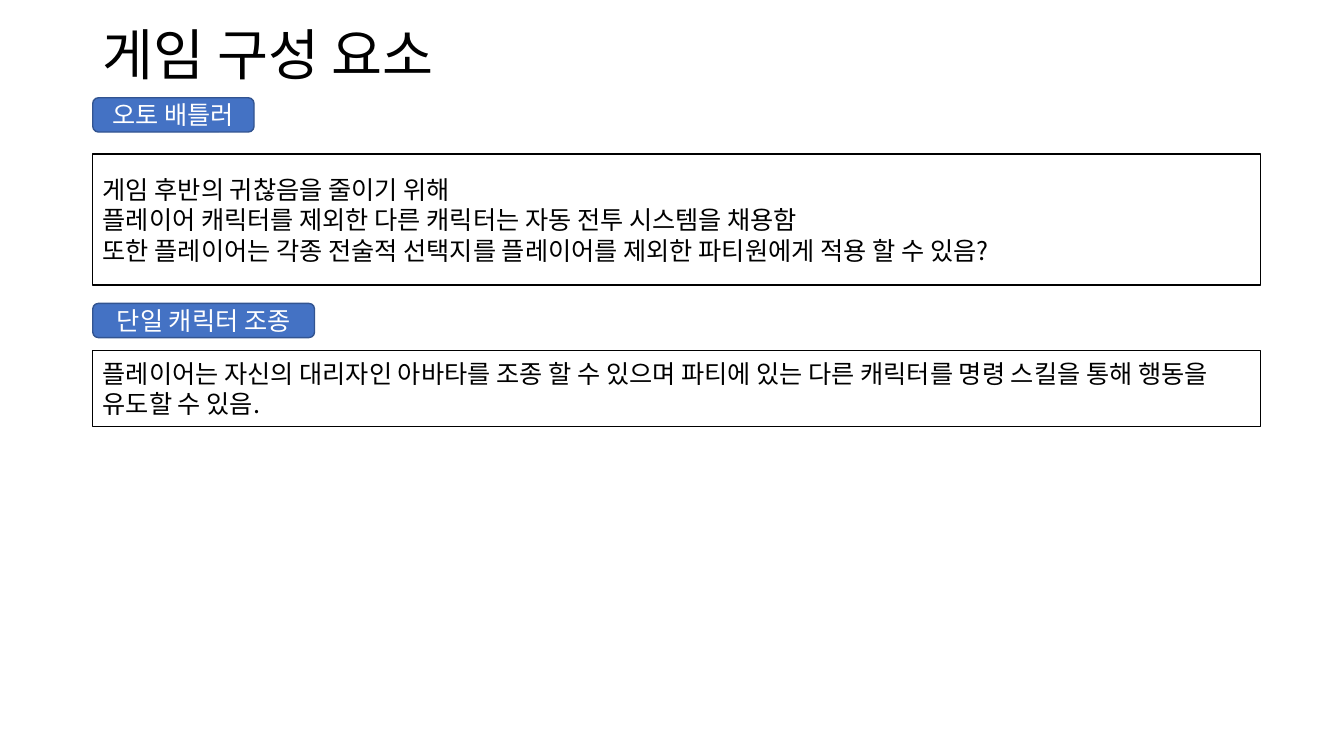
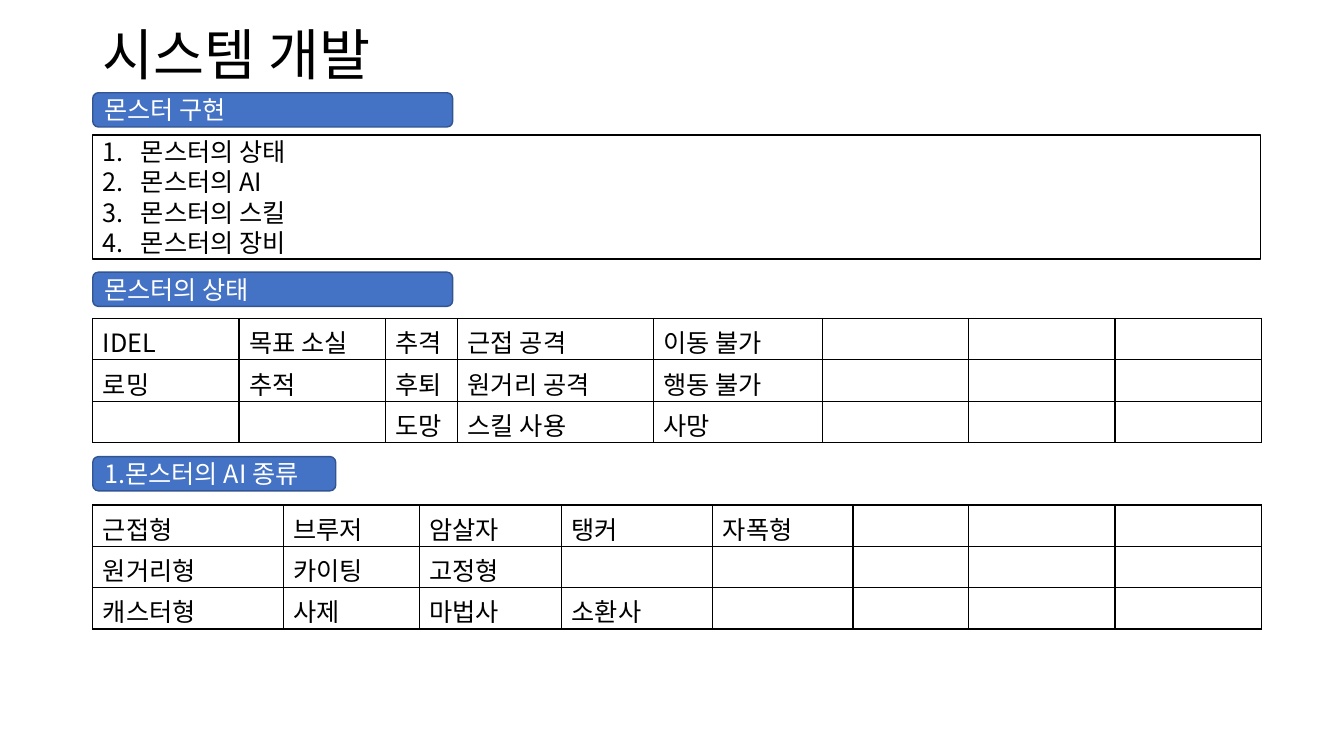
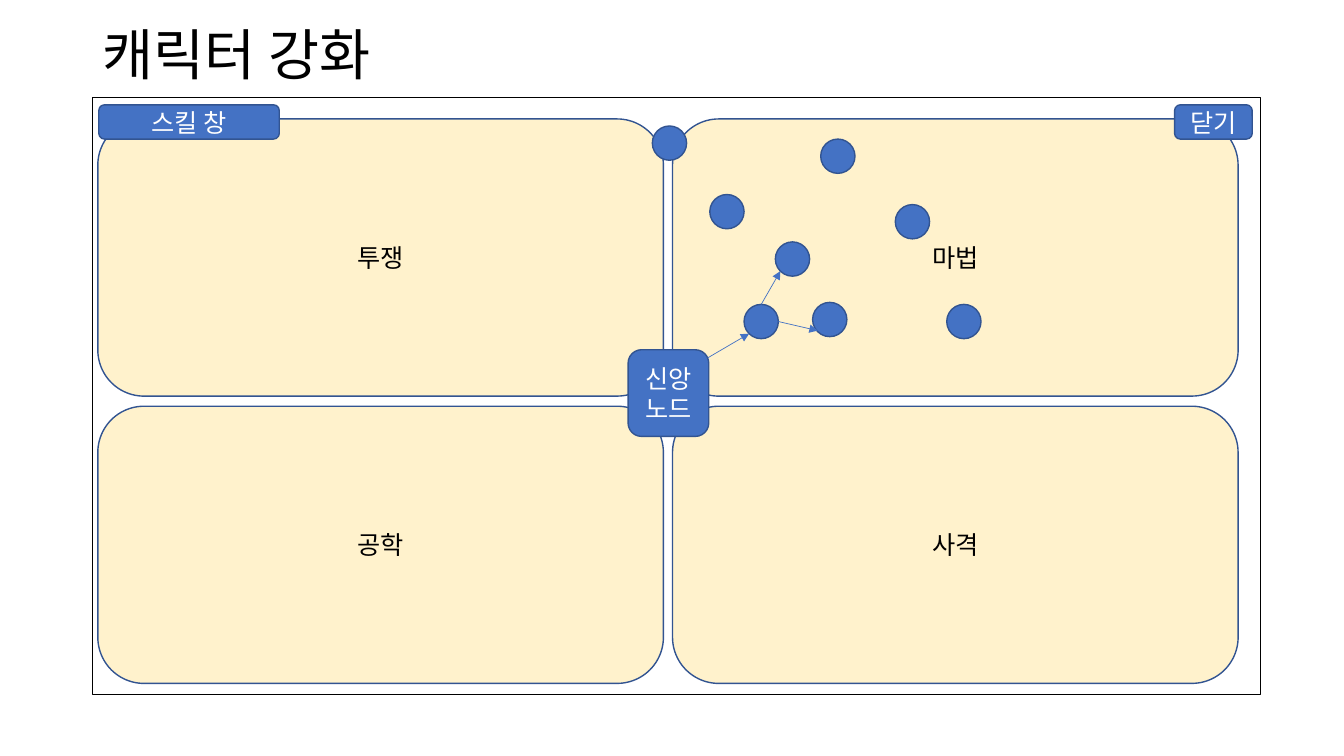
from dataclasses import dataclass
from typing import NamedTuple, Optional

from lxml import etree
from pptx import Presentation
from pptx import slide as sl
from pptx import util as u
from pptx.dml import color
from pptx.enum import shapes, text
from pptx.oxml import ns
from pptx.text import text as tx

PX = 9144  # EMU: 100 px to the inch
LEFT, WIDTH = 92, 1158
TAG_H, NODE = 34, 34


@dataclass(frozen=True)
class Theme:
    font: str = "Noto Sans CJK KR"
    title_size: float = 39.6
    body_size: float = 18
    line_width: float = 1
    arrow_width: float = 0.5
    ink: str = "000000"
    white: str = "FFFFFF"
    accent: str = "4472C4"
    edge: str = "325491"
    panel: str = "FFF2CC"


T = Theme()


class Box(NamedTuple):
    x: int
    y: int
    w: int
    h: int

    def emu(self) -> list[int]:
        return [v * PX for v in self]


class Style(NamedTuple):
    kind: shapes.MSO_SHAPE
    fill: Optional[str]
    line: str
    ink: str
    align: text.PP_ALIGN


class Tag(NamedTuple):
    label: str
    x: int
    y: int
    w: int
    h: int = TAG_H


class Grid(NamedTuple):
    y: int
    cols: list[int]
    rows: list[list[str]]


class Arrow(NamedTuple):
    x1: int
    y1: int
    x2: int
    y2: int


ROUND = shapes.MSO_SHAPE.ROUNDED_RECTANGLE
CENTER, START = text.PP_ALIGN.CENTER, text.PP_ALIGN.LEFT
FRAME = Style(shapes.MSO_SHAPE.RECTANGLE, None, T.ink, T.ink, START)
BUTTON = Style(ROUND, T.accent, T.edge, T.white, CENTER)
HEADING = BUTTON._replace(align=START)
PANEL = Style(ROUND, T.panel, T.edge, T.ink, CENTER)
DOT = BUTTON._replace(kind=shapes.MSO_SHAPE.OVAL)


def rgb(value: str) -> color.RGBColor:
    return color.RGBColor.from_string(value)


def sub(parent: etree._Element, tag: str, **attrs: str) -> etree._Element:
    return etree.SubElement(parent, ns.qn(tag), attrs)


def format_runs(p: tx._Paragraph, size: float, ink: str) -> None:
    for r in p.runs:
        r.font.size = u.Pt(size)
        r.font.name = T.font
        r.font.color.rgb = rgb(ink)
        latin = r.font._element.find(ns.qn("a:latin"))
        ea = etree.Element(ns.qn("a:ea"), typeface=T.font)
        latin.addnext(ea)


def add_number(p: tx._Paragraph) -> None:
    pPr = p._p.get_or_add_pPr()
    indent = 38 * PX
    pPr.set("marL", str(indent))
    pPr.set("indent", str(-indent))
    sub(pPr, "a:buFont", typeface="+mj-lt")
    sub(pPr, "a:buAutoNum", type="arabicPeriod")


def add_box(s: sl.Slide, box: Box, style: Style, content: str = "",
            numbered: bool = False) -> None:
    sp = s.shapes.add_shape(style.kind, *box.emu())
    sp.shadow.inherit = False
    if style.fill:
        sp.fill.solid()
        sp.fill.fore_color.rgb = rgb(style.fill)
    else:
        sp.fill.background()
    sp.line.color.rgb = rgb(style.line)
    sp.line.width = u.Pt(T.line_width)
    if not content:
        return
    tf = sp.text_frame
    tf.text = content
    tf.word_wrap = True
    tf.vertical_anchor = text.MSO_ANCHOR.MIDDLE
    for p in tf.paragraphs:
        p.alignment = style.align
        if numbered:
            add_number(p)
        format_runs(p, T.body_size, style.ink)


def add_tags(s: sl.Slide, tags: list[Tag], style: Style) -> None:
    for tag in tags:
        add_box(s, Box(*tag[1:]), style, tag.label)


def add_titled_slide(prs, title: str) -> sl.Slide:
    s = prs.slides.add_slide(prs.slide_layouts[6])
    tf = s.shapes.add_textbox(*Box(LEFT, 40, 914, 35).emu()).text_frame
    tf.text = title
    tf.word_wrap = True
    tf.vertical_anchor = text.MSO_ANCHOR.MIDDLE
    p = tf.paragraphs[0]
    p.line_spacing = 0.9
    format_runs(p, T.title_size, T.ink)
    return s


def add_cell_borders(cell) -> None:
    tcPr = cell._tc.get_or_add_tcPr()
    for side in ("a:lnL", "a:lnR", "a:lnT", "a:lnB"):
        ln = sub(tcPr, side, w=str(u.Pt(T.line_width)))
        sub(sub(ln, "a:solidFill"), "a:srgbClr", val=T.ink)


def add_grid(s: sl.Slide, grid: Grid) -> None:
    """Draw a bordered table; short rows leave their last cells empty."""
    row_h = 41
    box = Box(LEFT, grid.y, sum(grid.cols), row_h * len(grid.rows))
    table = s.shapes.add_table(len(grid.rows), len(grid.cols), *box.emu()).table
    table.first_row = table.horz_banding = False
    for col, width in zip(table.columns, grid.cols):
        col.width = width * PX
    for row in table.rows:
        row.height = row_h * PX
    for cell in table.iter_cells():
        add_cell_borders(cell)
        cell.fill.background()
    for i, labels in enumerate(grid.rows):
        for j, label in enumerate(labels):
            if label:
                tf = table.cell(i, j).text_frame
                tf.text = label
                format_runs(tf.paragraphs[0], T.body_size, T.ink)


def add_arrow(s: sl.Slide, arrow: Arrow) -> None:
    cxn = s.shapes.add_connector(shapes.MSO_CONNECTOR.STRAIGHT,
                                 *[v * PX for v in arrow])
    cxn.line.color.rgb = rgb(T.accent)
    cxn.line.width = u.Pt(T.arrow_width)
    sub(cxn.line._get_or_add_ln(), "a:tailEnd", type="triangle")
    sub(cxn._element.spPr, "a:effectLst")


def build_components(prs) -> None:
    s = add_titled_slide(prs, "게임 구성 요소")
    add_box(s, Box(LEFT, 153, WIDTH, 130), FRAME,
            "게임 후반의 귀찮음을 줄이기 위해\n"
            "플레이어 캐릭터를 제외한 다른 캐릭터는 자동 전투 시스템을 채용함\n"
            "또한 플레이어는 각종 전술적 선택지를 플레이어를 제외한 파티원에게 적용 할 수 있음?")
    add_box(s, Box(LEFT, 348, WIDTH, 75), FRAME,
            "플레이어는 자신의 대리자인 아바타를 조종 할 수 있으며 파티에 있는 "
            "다른 캐릭터를 명령 스킬을 통해 행동을 유도할 수 있음.")
    add_tags(s, [Tag("오토 배틀러", LEFT, 97, 160),
                 Tag("단일 캐릭터 조종", LEFT, 301, 220)], BUTTON)


def build_systems(prs) -> None:
    s = add_titled_slide(prs, "시스템 개발")
    add_box(s, Box(LEFT, 134, WIDTH, 123), FRAME,
            "몬스터의 상태\n몬스터의 AI\n몬스터의 스킬\n몬스터의 장비", numbered=True)
    add_grid(s, Grid(316, [145, 145, 72, 194, 168, 145, 145, 145], [
        ["IDEL", "목표 소실", "추격", "근접 공격", "이동 불가"],
        ["로밍", "추적", "후퇴", "원거리 공격", "행동 불가"],
        ["", "", "도망", "스킬 사용", "사망"],
    ]))
    add_tags(s, [Tag("몬스터 구현", LEFT, 92, 357),
                 Tag("몬스터의 상태", LEFT, 270, 357),
                 Tag("1.몬스터의 AI 종류", LEFT, 453, 241)], HEADING)
    add_grid(s, Grid(501, [189, 135, 141, 150, 139, 115, 145, 145], [
        ["근접형", "브루저", "암살자", "탱커", "자폭형"],
        ["원거리형", "카이팅", "고정형"],
        ["캐스터형", "사제", "마법사", "소환사"],
    ]))


def build_upgrades(prs) -> None:
    s = add_titled_slide(prs, "캐릭터 강화")
    panel_w, panel_h, gap_x, gap_y = 561, 275, 9, 10
    for i, label in enumerate(["투쟁", "마법", "공학", "사격"]):
        row, col = divmod(i, 2)
        add_box(s, Box(97 + col * (panel_w + gap_x), 118 + row * (panel_h + gap_y),
                       panel_w, panel_h), PANEL, label)
    add_box(s, Box(LEFT, 97, WIDTH, 592), FRAME)
    add_tags(s, [Tag("닫기", 1165, 104, 77),
                 Tag("스킬 창", 98, 104, 179),
                 Tag("신앙 노드", 623, 347, 80, 86)], BUTTON)
    for x, y in [(738, 302), (769, 240), (806, 300), (939, 302),
                 (888, 203), (814, 138), (704, 193), (647, 125)]:
        add_box(s, Box(x, y, NODE, NODE), DOT)
    for arrow in [Arrow(702, 355, 743, 331), Arrow(755, 302, 774, 269),
                  Arrow(772, 319, 811, 328)]:
        add_arrow(s, arrow)


def main() -> None:
    prs = Presentation()
    prs.slide_width, prs.slide_height = 1333 * PX, 750 * PX
    for build in (build_components, build_systems, build_upgrades):
        build(prs)
    prs.save("out.pptx")


if __name__ == "__main__":
    main()
